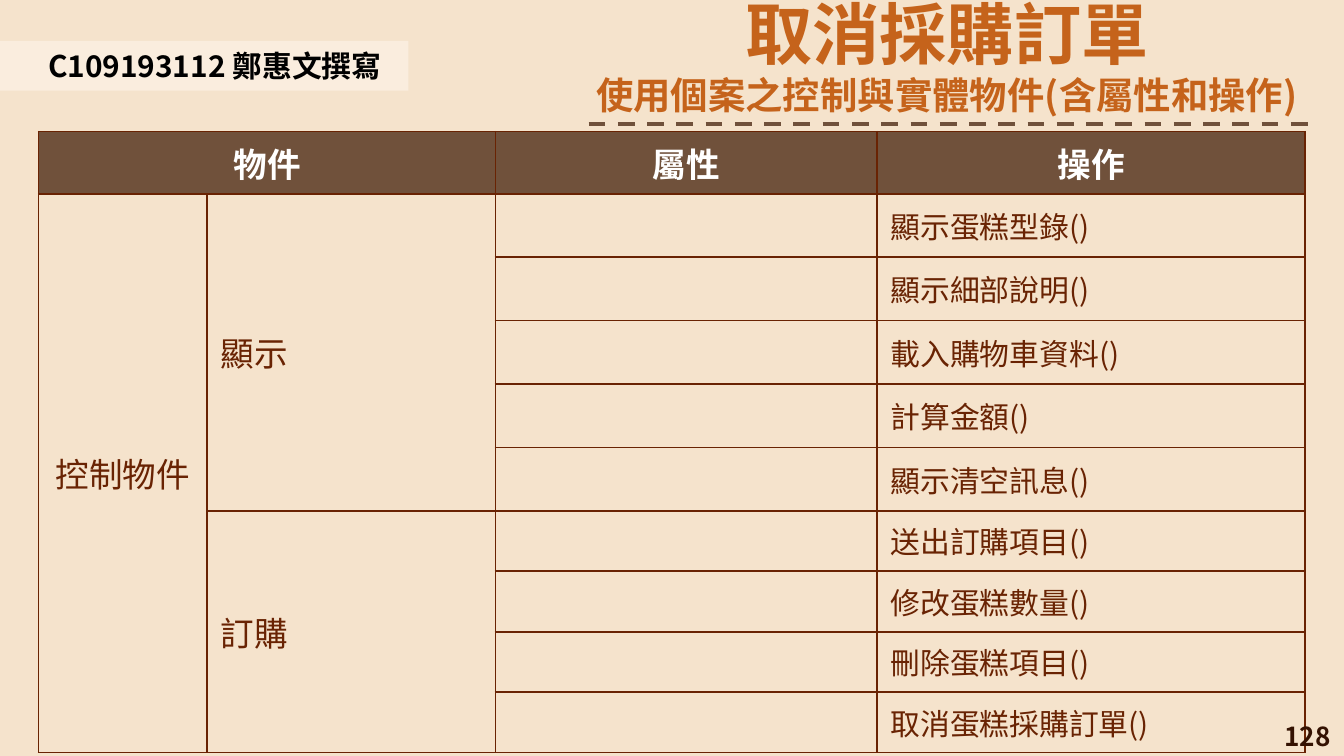
import dataclasses

import lxml.etree
import pptx
import pptx.dml.color
import pptx.enum.dml
import pptx.enum.shapes
import pptx.enum.text
import pptx.oxml.ns
import pptx.util

PX_PER_INCH = 1000
FONT = "Noto Sans CJK SC"
BROWN = "70513B"
RUST = "692303"
ORANGE = "C5631B"
ALIGN = pptx.enum.text.PP_ALIGN
ANCHOR = pptx.enum.text.MSO_ANCHOR
COLUMNS = [1255, 2145, 2840, 3185]
ROWS = [450] + [472] * 5 + [450] * 4


@dataclasses.dataclass
class Style:
    size: int
    color: str
    bold: bool = False
    align: ALIGN = ALIGN.LEFT


@dataclasses.dataclass
class ObjectGroup:
    name: str
    operations: list[str]


HEADER = Style(18, "FFFFFF", True, ALIGN.CENTER)
NAME = Style(18, RUST)
VERTICAL_NAME = Style(18, RUST, align=ALIGN.CENTER)
OPERATION = Style(16, RUST)
GROUPS = [
    ObjectGroup("顯示", ["顯示蛋糕型錄()", "顯示細部說明()", "載入購物車資料()",
                       "計算金額()", "顯示清空訊息()"]),
    ObjectGroup("訂購", ["送出訂購項目()", "修改蛋糕數量()", "刪除蛋糕項目()",
                       "取消蛋糕採購訂單()"]),
]


def px(*lengths: int) -> list[int]:
    return [pptx.util.Inches(length / PX_PER_INCH) for length in lengths]


def rgb(color: str) -> pptx.dml.color.RGBColor:
    return pptx.dml.color.RGBColor.from_string(color)


def add_element(parent, tag: str, **attributes: str):
    element = lxml.etree.SubElement(parent, pptx.oxml.ns.qn(tag))
    for key, value in attributes.items():
        element.set(key, value)
    return element


def format_paragraph(paragraph, style: Style) -> None:
    paragraph.alignment = style.align
    for run in paragraph.runs:
        run.font.size = pptx.util.Pt(style.size)
        run.font.bold = style.bold
        run.font.color.rgb = rgb(style.color)
        run.font.name = FONT
        add_element(run.font._element, "a:ea", typeface=FONT)


def add_label(slide, box: tuple, text: str, style: Style, anchor: ANCHOR) -> None:
    shape = slide.shapes.add_textbox(*px(*box))
    frame = shape.text_frame
    frame.word_wrap = True
    frame.vertical_anchor = anchor
    frame.text = text
    format_paragraph(frame.paragraphs[0], style)


def add_title(slide) -> None:
    title = slide.shapes.title
    title.left, title.top, title.width, title.height = px(4090, -130, 5910, 1090)
    frame = title.text_frame
    frame.auto_size = pptx.enum.text.MSO_AUTO_SIZE.NONE
    frame.word_wrap = True
    frame.vertical_anchor = ANCHOR.TOP
    frame.margin_left = frame.margin_right = px(100)[0]
    frame.margin_top = frame.margin_bottom = px(100)[0]
    frame.text = "取消採購訂單\n使用個案之控制與實體物件(含屬性和操作)"
    for paragraph, size, spacing in zip(frame.paragraphs, (36, 20), (0.98, 0.95)):
        paragraph.line_spacing = spacing
        format_paragraph(paragraph, Style(size, ORANGE, True, ALIGN.CENTER))


def add_dashed_rule(slide) -> None:
    rule = slide.shapes.add_connector(
        pptx.enum.shapes.MSO_CONNECTOR.STRAIGHT, *px(4380, 920, 9770, 920))
    rule.line.color.rgb = rgb(BROWN)
    rule.line.width = pptx.util.Pt(2.25)
    rule.line.dash_style = pptx.enum.dml.MSO_LINE.DASH
    add_element(rule._element.spPr, "a:effectLst")


def add_author_band(slide) -> None:
    band = slide.shapes.add_shape(
        pptx.enum.shapes.MSO_SHAPE.RECTANGLE, *px(0, 305, 3040, 370))
    band.shadow.inherit = False
    band.fill.solid()
    band.fill.fore_color.rgb = rgb("FAEDDE")
    band.line.fill.background()
    add_label(slide, (260, 305, 2770, 370), "C109193112 鄭惠文撰寫",
              Style(16, "000000", True), ANCHOR.TOP)


def format_cell(cell, header: bool) -> None:
    properties = cell._tc.get_or_add_tcPr()
    for side in ("a:lnL", "a:lnR", "a:lnT", "a:lnB"):
        border = add_element(properties, side, w=str(pptx.util.Pt(1)))
        fill = add_element(border, "a:solidFill")
        add_element(fill, "a:srgbClr", val=RUST)
    if header:
        cell.fill.solid()
        cell.fill.fore_color.rgb = rgb(BROWN)
    else:
        cell.fill.background()
    cell.vertical_anchor = ANCHOR.MIDDLE


def write_cell(cell, text: str, style: Style) -> None:
    cell.text_frame.text = text
    format_paragraph(cell.text_frame.paragraphs[0], style)


def add_object_table(slide) -> None:
    box = px(287, 980, sum(COLUMNS), sum(ROWS))
    table = slide.shapes.add_table(len(ROWS), len(COLUMNS), *box).table
    for column, width in zip(table.columns, COLUMNS):
        column.width = px(width)[0]
    for index, (row, height) in enumerate(zip(table.rows, ROWS)):
        row.height = px(height)[0]
        for cell in row.cells:
            format_cell(cell, index == 0)

    table.cell(0, 0).merge(table.cell(0, 1))
    for column, text in ((0, "物件"), (2, "屬性"), (3, "操作")):
        write_cell(table.cell(0, column), text, HEADER)

    control = table.cell(1, 0)
    control.merge(table.cell(len(ROWS) - 1, 0))
    for row in range(1, len(ROWS)):
        table.cell(row, 0)._tc.get_or_add_tcPr().set("vert", "eaVert")
    write_cell(control, "控制物件", VERTICAL_NAME)

    first = 1
    for group in GROUPS:
        following = first + len(group.operations)
        table.cell(first, 1).merge(table.cell(following - 1, 1))
        write_cell(table.cell(first, 1), group.name, NAME)
        for row, operation in enumerate(group.operations, first):
            write_cell(table.cell(row, 3), operation, OPERATION)
        first = following


def main() -> None:
    presentation = pptx.Presentation()
    presentation.slide_width, presentation.slide_height = px(10000, 5625)
    slide = presentation.slides.add_slide(presentation.slide_layouts[5])
    slide.background.fill.solid()
    slide.background.fill.fore_color.rgb = rgb("F5E3CC")
    add_object_table(slide)
    add_title(slide)
    add_dashed_rule(slide)
    add_author_band(slide)
    add_label(slide, (7750, 5325, 2250, 300), "128",
              Style(14, "341202", True, ALIGN.RIGHT), ANCHOR.MIDDLE)
    presentation.save("out.pptx")


if __name__ == "__main__":
    main()
